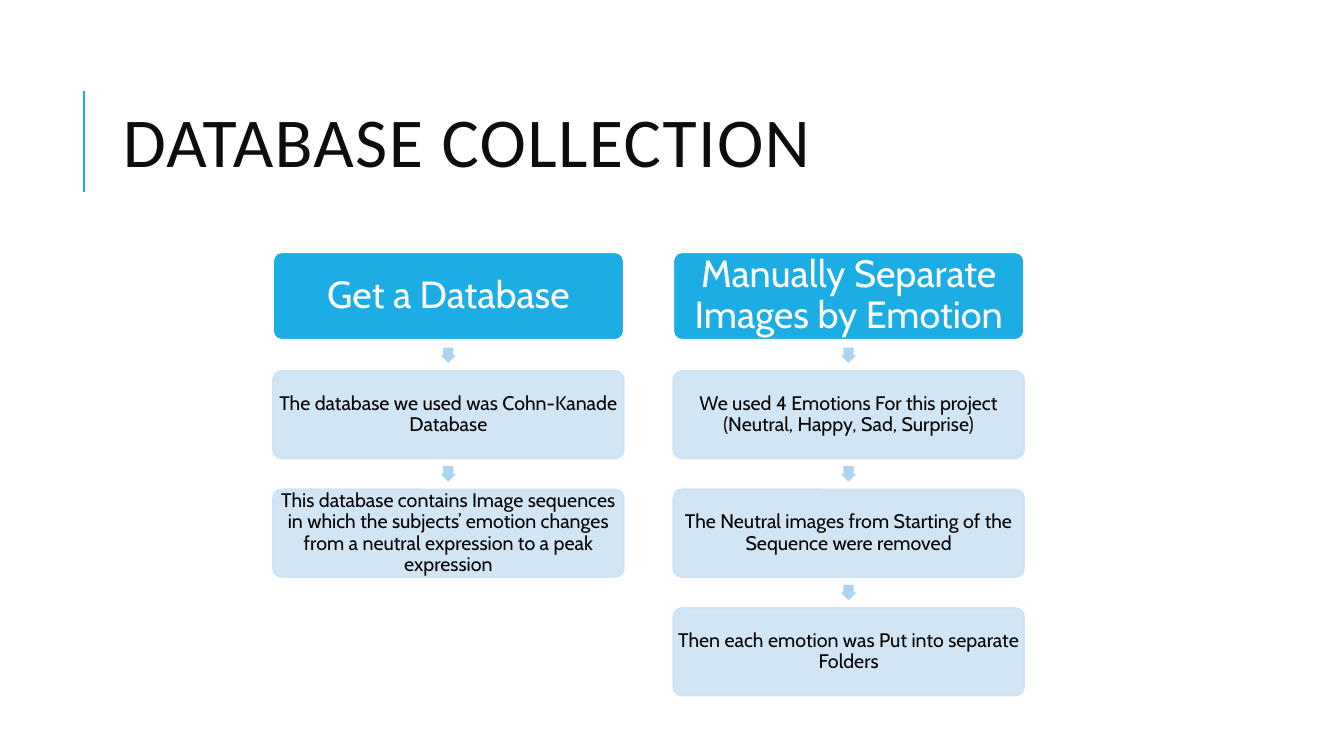
from lxml.etree import SubElement
from pptx import Presentation
from pptx.dml.color import RGBColor
from pptx.enum.shapes import MSO_CONNECTOR, MSO_SHAPE
from pptx.enum.text import MSO_ANCHOR, MSO_AUTO_SIZE, PP_ALIGN
from pptx.oxml.ns import qn
from pptx.util import Pt

BLUE = RGBColor(0x1C, 0xAD, 0xE4)
PALE_BLUE = RGBColor(0xCD, 0xE3, 0xF5)
ARROW_BLUE = RGBColor(0xAC, 0xD3, 0xEF)
WHITE = RGBColor(0xFF, 0xFF, 0xFF)
BLACK = RGBColor(0, 0, 0)
TITLE_BLACK = RGBColor(0x0D, 0x0D, 0x0D)

COLUMNS = [
    ("Get a Database", [
        "The database we used was Cohn-Kanade Database",
        "This database contains Image sequences in which the subjects’ "
        "emotion changes from a neutral expression to a peak expression",
    ]),
    ("Manually Separate Images by Emotion", [
        "We used 4 Emotions For this project (Neutral, Happy, Sad, Surprise)",
        "The Neutral images from Starting of the Sequence were removed",
        "Then each emotion was Put into separate Folders",
    ]),
]
HEADING = {"fill": BLUE, "line": WHITE, "color": WHITE, "size": 27,
           "margin": 2.7, "opacity": 100}
STEP = {"fill": PALE_BLUE, "line": PALE_BLUE, "color": BLACK, "size": 14,
        "margin": 1.4, "opacity": 90}

LEFT, TOP = 195, 180.2
BOX_WIDTH, BOX_HEIGHT = 250.6, 62.6
COLUMN_PITCH, ROW_PITCH = 285.9, 84.7
ARROW_SIZE = 11


def format_text(frame, settings, font_settings, line_spacing, align):
    """Apply frame settings, paragraph layout and font settings to one paragraph."""
    for key, value in settings.items():
        setattr(frame, key, value)
    paragraph = frame.paragraphs[0]
    paragraph.alignment = align
    paragraph.line_spacing = line_spacing
    font = paragraph.runs[0].font
    font.color.rgb = font_settings["color"]
    for key in ("name", "size"):
        setattr(font, key, font_settings[key])


def add_box(slide, left, top, text, style):
    """Add a rounded box with centred text in the given style."""
    box = slide.shapes.add_shape(MSO_SHAPE.ROUNDED_RECTANGLE, Pt(left), Pt(top),
                                 Pt(BOX_WIDTH), Pt(BOX_HEIGHT))
    box.adjustments[0] = 0.1
    box.shadow.inherit = False
    box.fill.solid()
    box.fill.fore_color.rgb = style["fill"]
    box.line.color.rgb = style["line"]
    box.line.width = Pt(1.25)
    if style["opacity"] < 100:
        for color in box._element.spPr.iter(qn("a:srgbClr")):
            SubElement(color, qn("a:alpha"), val=str(style["opacity"] * 1000))
    box.text_frame.text = text
    settings = {f"margin_{side}": Pt(style["margin"])
                for side in ("left", "top", "right", "bottom")}
    settings.update(word_wrap=True, vertical_anchor=MSO_ANCHOR.MIDDLE)
    font = {"name": "Cabin", "size": Pt(style["size"]), "color": style["color"]}
    format_text(box.text_frame, settings, font, 0.9, PP_ALIGN.CENTER)


presentation = Presentation()
presentation.slide_width, presentation.slide_height = Pt(960), Pt(540)
slide = presentation.slides.add_slide(presentation.slide_layouts[5])

accent = slide.shapes.add_connector(MSO_CONNECTOR.STRAIGHT,
                                    Pt(60), Pt(137), Pt(60), Pt(65))
accent.line.color.rgb = BLUE
accent.line.width = Pt(1.5)
SubElement(accent._element.spPr, qn("a:effectLst"))

title = slide.shapes.title
title.text = "DATABASE COLLECTION"
title_place = {"left": 80.6, "top": 46, "width": 765.4, "height": 118}
for key, value in title_place.items():
    setattr(title, key, Pt(value))
format_text(title.text_frame,
            {"word_wrap": True, "auto_size": MSO_AUTO_SIZE.NONE,
             "vertical_anchor": MSO_ANCHOR.MIDDLE},
            {"name": "Calibri", "size": Pt(50), "color": TITLE_BLACK},
            0.8, PP_ALIGN.LEFT)
title.text_frame.paragraphs[0].runs[0].font._element.set("spc", "100")

for column, (heading, steps) in enumerate(COLUMNS):
    left = LEFT + column * COLUMN_PITCH
    add_box(slide, left, TOP, heading, HEADING)
    for row, step in enumerate(steps, start=1):
        top = TOP + row * ROW_PITCH
        gap_middle = top - (ROW_PITCH - BOX_HEIGHT) / 2
        arrow = slide.shapes.add_shape(
            MSO_SHAPE.DOWN_ARROW, Pt(left + (BOX_WIDTH - ARROW_SIZE) / 2),
            Pt(gap_middle - ARROW_SIZE / 2), Pt(ARROW_SIZE), Pt(ARROW_SIZE))
        arrow.adjustments[0] = 0.67
        arrow.adjustments[1] = 0.5
        arrow.shadow.inherit = False
        arrow.fill.solid()
        arrow.fill.fore_color.rgb = ARROW_BLUE
        arrow.line.fill.background()
        add_box(slide, left, top, step, STEP)

presentation.save("out.pptx")
